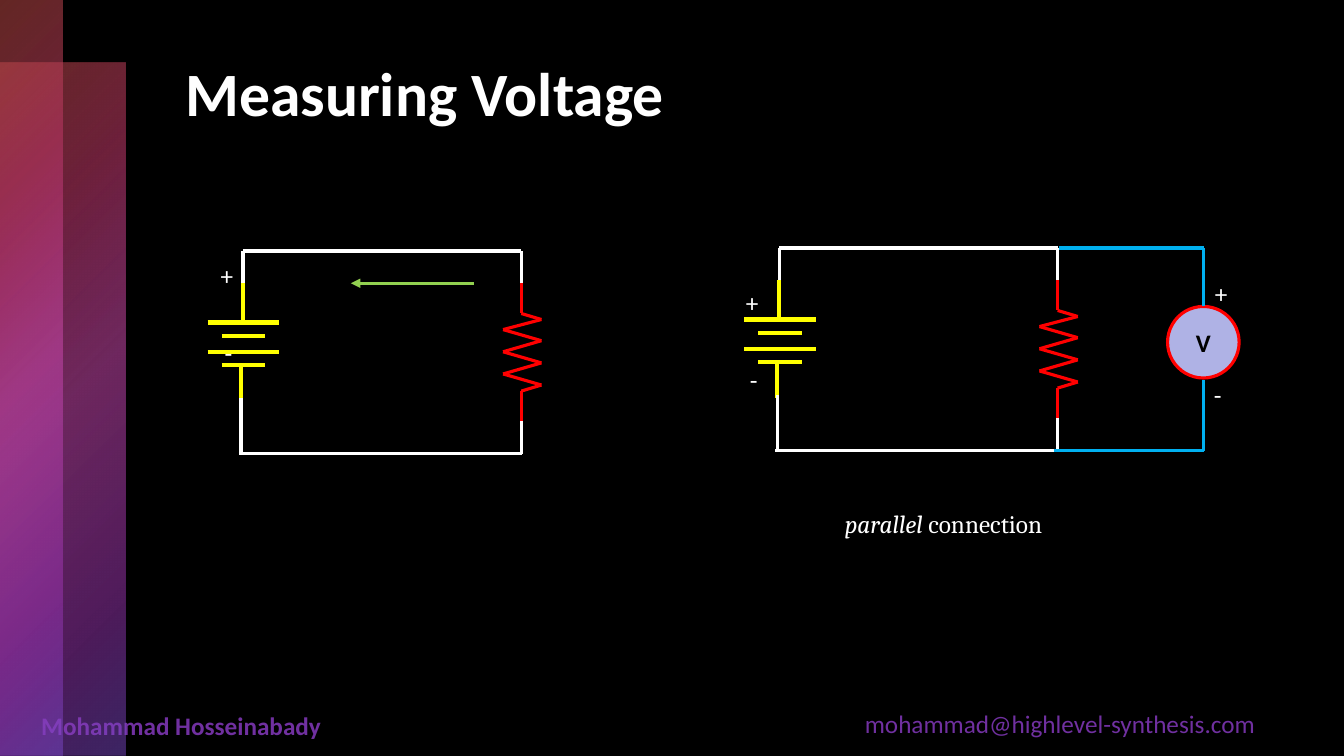
from dataclasses import dataclass

from lxml.etree import SubElement
from pptx import Presentation
from pptx.dml.color import RGBColor
from pptx.enum.shapes import MSO_CONNECTOR, MSO_SHAPE
from pptx.enum.text import MSO_ANCHOR, MSO_AUTO_SIZE, PP_ALIGN
from pptx.oxml import parse_xml
from pptx.oxml.ns import nsdecls, qn
from pptx.util import Pt

PX = 9144


@dataclass(frozen=True)
class Theme:
    background: str = "000000"
    text: str = "FFFFFF"
    footer: str = "7030A0"
    wire: str = "FFFFFF"
    battery: str = "FFFF00"
    resistor: str = "FF0000"
    current: str = "92D050"
    probe: str = "00B0F0"
    meter: str = "AFB2E5"
    meter_text: str = "000000"
    band: tuple = (
        (0, "C84E48", 50),
        (25, "B63665", 60),
        (50, "C848AC", 55),
        (81, "9C36B6", 50),
        (99, "7948C8", 50),
    )
    body_font: str = "Calibri"
    caption_font: str = "Cambria"
    title_size: int = 44
    body_size: int = 18
    wire_width: float = 2.25
    battery_width: float = 3


theme = Theme()
deck = Presentation()
deck.slide_width, deck.slide_height = 1333 * PX, 750 * PX
page = deck.slides.add_slide(deck.slide_layouts[6])
page.background.fill.solid()
page.background.fill.fore_color.rgb = RGBColor.from_string(theme.background)


def add_text(left, top, width, height, text, color=theme.text, size=theme.body_size,
             bold=False, font=theme.body_font, wrap=True):
    box = page.shapes.add_textbox(left * PX, top * PX, width * PX, height * PX)
    box.text_frame.word_wrap = wrap
    box.text_frame.auto_size = MSO_AUTO_SIZE.NONE
    para = box.text_frame.paragraphs[0]
    if text:
        para.add_run().text = text
    para.font.name, para.font.size, para.font.bold = font, Pt(size), bold
    para.font.color.rgb = RGBColor.from_string(color)
    return para


def add_line(start, end, color, width=theme.wire_width):
    line = page.shapes.add_connector(
        MSO_CONNECTOR.STRAIGHT, *(value * PX for value in (*start, *end)))
    line.line.color.rgb = RGBColor.from_string(color)
    line.line.width = Pt(width)
    SubElement(line._element.spPr, qn("a:effectLst"))
    return line


add_text(848, 698, 460, 40, "mohammad@highlevel-synthesis.com", theme.footer)
add_text(31, 700, 460, 40, "Mohammad Hosseinabady", theme.footer, bold=True)

stops = "".join(
    f'<a:gs pos="{position * 1000}"><a:srgbClr val="{color}">'
    f'<a:alpha val="{alpha * 1000}"/></a:srgbClr></a:gs>'
    for position, color, alpha in theme.band)
for top, width in ((62, 124), (0, 62)):
    band = page.shapes.add_shape(
        MSO_SHAPE.RECTANGLE, 0, top * PX, width * PX, (750 - top) * PX)
    band.shadow.inherit = False
    band.line.fill.background()
    band._element.spPr.find(qn("a:prstGeom")).addnext(parse_xml(
        f'<a:gradFill {nsdecls("a")} rotWithShape="1"><a:gsLst>{stops}</a:gsLst>'
        '<a:path path="circle"><a:fillToRect r="100000" b="100000"/></a:path>'
        '</a:gradFill>'))

add_text(174, 50, 1037, 170, "Measuring Voltage", size=theme.title_size, bold=True)

zigzag = [(331 - 38 * (turn % 2), 68 + 65 * turn // 6) for turn in range(7)]
resistor = [(311, 32), (311, 62), *zigzag, (311, 139), (311, 169)]
battery = [
    ((0, 71), (71, 71)),
    ((14, 84), (57, 84)),
    ((0, 100), (71, 100)),
    ((14, 113), (57, 113)),
    ((35, 32), (35, 71)),
    ((33, 113), (33, 149)),
]
wires = [
    ((311, 32), (311, 0)),
    ((311, 201), (311, 169)),
    ((35, 0), (311, 0)),
    ((31, 201), (312, 201)),
    ((33, 201), (33, 146)),
    ((35, 32), (35, 0)),
]
parts = [
    (list(zip(resistor, resistor[1:])), theme.resistor, theme.wire_width),
    (battery, theme.battery, theme.battery_width),
    (wires, theme.wire, theme.wire_width),
]
for left, top in ((206, 249), (738, 246)):
    for segments, color, width in parts:
        for (x1, y1), (x2, y2) in segments:
            add_line((left + x1, top + y1), (left + x2, top + y2), color, width)

current = add_line((470, 281), (348, 281), theme.current)
SubElement(current.line._get_or_add_ln(), qn("a:tailEnd"), type="triangle")

meter = page.shapes.add_shape(MSO_SHAPE.OVAL, 1158 * PX, 304 * PX, 71 * PX, 71 * PX)
meter.shadow.inherit = False
meter.fill.solid()
meter.fill.fore_color.rgb = RGBColor.from_string(theme.meter)
meter.line.color.rgb = RGBColor.from_string(theme.resistor)
meter.line.width = Pt(theme.wire_width)
meter.text_frame.vertical_anchor = MSO_ANCHOR.MIDDLE
label = meter.text_frame.paragraphs[0]
label.text = "V"
label.alignment = PP_ALIGN.CENTER
label.font.name, label.font.size, label.font.bold = theme.body_font, Pt(theme.body_size), True
label.font.color.rgb = RGBColor.from_string(theme.meter_text)

polarities = [
    (1195, 271, 35, "+"), (1194, 371, 30, "-"),
    (730, 280, 35, "+"), (734, 357, 30, "-"),
    (209, 253, 35, "+"), (213, 330, 30, "-"),
]
for left, top, width, sign in polarities:
    add_text(left, top, width, 40, sign, wrap=False)

caption = add_text(828, 499, 222, 40, "", font=theme.caption_font)
for text, italic in (("parallel ", True), ("connection", False)):
    span = caption.add_run()
    span.text = text
    span.font.italic = italic

probes = [
    ((1194, 304), (1194, 246)),
    ((1194, 447), (1194, 377)),
    ((1050, 246), (1194, 246)),
    ((1045, 447), (1194, 447)),
]
for start, end in probes:
    add_line(start, end, theme.probe)

deck.save("out.pptx")
